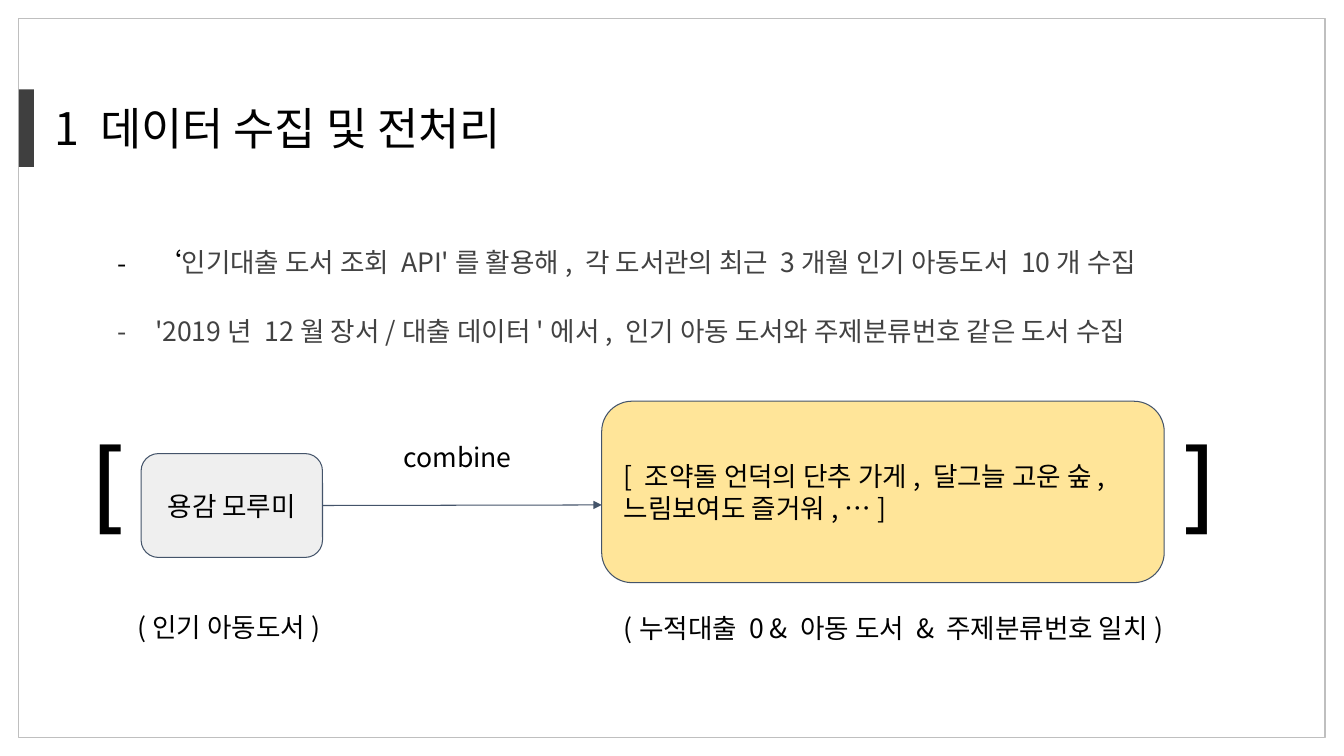
from dataclasses import dataclass

from lxml.etree import SubElement
from pptx import Presentation
from pptx.dml.color import RGBColor
from pptx.enum.shapes import MSO_CONNECTOR, MSO_SHAPE
from pptx.enum.text import MSO_ANCHOR, PP_ALIGN
from pptx.oxml.ns import qn
from pptx.util import Pt


@dataclass(frozen=True)
class Theme:
    """Colours, fonts and type sizes of the slide."""
    ink: str = "000000"
    soft: str = "424242"
    bar: str = "3F3F3F"
    edge: str = "BFBFBF"
    line: str = "44546A"
    gray: str = "EFEFEF"
    gold: str = "FFE599"
    font: str = "Noto Sans CJK KR"
    mono: str = "DejaVu Sans Mono"
    head: float = 32
    body: float = 19
    huge: float = 72


THEME = Theme()


def shift(box, left, top, width, height):
    """Return an area placed relative to the corner of a box."""
    return box[0] + left, box[1] + top, width, height


def add_run(para, text, size=THEME.body, color=THEME.ink, font=THEME.font):
    """Add one run of text with its font for Latin and Korean."""
    run = para.add_run()
    run.text = text
    run.font.size = Pt(size)
    run.font.name = font
    run.font.color.rgb = RGBColor.from_string(color)
    SubElement(run.font._element, qn("a:ea"), typeface=font)


def set_frame(frame, pad, anchor=MSO_ANCHOR.TOP):
    """Set wrap, insets and anchor of a text frame."""
    frame.word_wrap = True
    frame.margin_left = frame.margin_right = Pt(pad)
    frame.margin_top = frame.margin_bottom = Pt(pad)
    frame.vertical_anchor = anchor
    return frame


def add_text(slide, box, pad=7.2):
    """Add an empty text box and return its frame."""
    label = slide.shapes.add_textbox(*map(Pt, box))
    return set_frame(label.text_frame, pad)


def add_label(slide, box, text, pad=7.2):
    """Add a centred line of body text."""
    para = add_text(slide, box, pad).paragraphs[0]
    para.alignment = PP_ALIGN.CENTER
    add_run(para, text)


def add_block(slide, box, kind, fill=None, line=None, width=0.75):
    """Add a flat shape with an optional fill and line."""
    block = slide.shapes.add_shape(kind, *map(Pt, box))
    block.shadow.inherit = False
    if fill:
        block.fill.solid()
        block.fill.fore_color.rgb = RGBColor.from_string(fill)
    else:
        block.fill.background()
    if line:
        block.line.color.rgb = RGBColor.from_string(line)
        block.line.width = Pt(width)
    else:
        block.line.fill.background()
    return block


def add_card(slide, box, fill, lines, align):
    """Add a rounded card with one paragraph per line."""
    card = add_block(slide, box, MSO_SHAPE.ROUNDED_RECTANGLE, fill, THEME.line)
    card.adjustments[0] = 0.167
    frame = set_frame(card.text_frame, 9.4, MSO_ANCHOR.MIDDLE)
    for index, text in enumerate(lines):
        para = frame.add_paragraph() if index else frame.paragraphs[0]
        para.alignment = align
        add_run(para, text)
    return card


def add_arrow(slide, card, tip):
    """Draw an arrow from the right side of a card to a tip."""
    arrow = slide.shapes.add_connector(
        MSO_CONNECTOR.STRAIGHT, 0, 0, *map(Pt, tip))
    arrow.begin_connect(card, 3)
    arrow.line.color.rgb = RGBColor.from_string(THEME.line)
    arrow.line.width = Pt(0.75)
    SubElement(arrow.line._get_or_add_ln(), qn("a:tailEnd"), type="triangle")
    SubElement(arrow._element.spPr, qn("a:effectLst"))


def add_header(slide, box):
    """Draw the page border, the side bar and the title."""
    add_block(slide, box, MSO_SHAPE.RECTANGLE, line=THEME.edge, width=1)
    add_block(slide, shift(box, 0, 50.4, 10.8, 55.4),
              MSO_SHAPE.RECTANGLE, THEME.bar)
    frame = add_text(slide, shift(box, 18.3, 55, 382.3, 70.6))
    frame.margin_top = frame.margin_bottom = Pt(3.6)
    add_run(frame.paragraphs[0], "1 데이터 수집 및 전처리", THEME.head)


def add_notes(slide, box):
    """Write the two dashed points."""
    points = [
        (THEME.ink, [
            ("‘", THEME.ink),
            ("인기대출 도서 조회 API'를 활용해, 각 도서관의 최근 3개월 "
             "인기 아동도서 10개 수집", THEME.soft)]),
        (THEME.soft, [
            ("'2019년 12월 장서/대출 데이터'에서, 인기 아동 도서와 "
             "주제분류번호 같은 도서 수집", THEME.soft)]),
    ]
    frame = add_text(slide, box)
    frame.margin_top = Pt(32.5)
    for index, (dash, runs) in enumerate(points):
        para = frame.add_paragraph() if index else frame.paragraphs[0]
        if index:
            para.space_before = Pt(26)
        props = para._p.get_or_add_pPr()
        props.set("marL", str(Pt(36)))
        props.set("indent", str(Pt(-27)))
        SubElement(SubElement(props, qn("a:buClr")), qn("a:srgbClr"), val=dash)
        SubElement(props, qn("a:buFont"), typeface=THEME.font)
        SubElement(props, qn("a:buChar"), char="-")
        for text, color in runs:
            add_run(para, text, color=color)


def add_chain(slide, box):
    """Draw the bracketed pair of cards with arrow and captions."""
    para = add_text(slide, shift(box, 0, 6.4, 873.4, 145.4)).paragraphs[0]
    tabs = SubElement(para._p.get_or_add_pPr(), qn("a:tabLst"))
    SubElement(tabs, qn("a:tab"), pos=str(Pt(780)), algn="l")
    add_run(para, "[\t]", THEME.huge, font=THEME.mono)
    add_label(slide, shift(box, 369.4, 143.2, 441.4, 48.2),
              "(누적대출 0 & 아동 도서 & 주제분류번호 일치)")
    card = add_card(slide, shift(box, 52.6, 37.4, 129.6, 74.2), THEME.gray,
                    ["용감 모루미"], PP_ALIGN.CENTER)
    add_arrow(slide, card, (box[0] + 381.6, box[1] + 74.1))
    add_card(slide, shift(box, 381.6, 0, 401.8, 129.6), THEME.gold,
             ["[ 조약돌 언덕의 단추 가게, 달그늘 고운 숲,",
              "느림보여도 즐거워, … ]"], PP_ALIGN.LEFT)
    add_label(slide, shift(box, 224.7, 18.7, 108, 53.3), "combine", 9.4)
    add_label(slide, shift(box, 28.1, 140.4, 174.2, 53.3),
              "(인기 아동도서)", 9.4)


def main():
    """Build the slide and save it."""
    deck = Presentation()
    deck.slide_width, deck.slide_height = Pt(960), Pt(540)
    slide = deck.slides.add_slide(deck.slide_layouts[6])
    add_header(slide, (13.4, 13.4, 933.1, 513.4))
    add_notes(slide, (67.7, 143.3, 807.1, 159.8))
    add_chain(slide, (48.2, 286.6, 873.4, 193.7))
    deck.save("out.pptx")


if __name__ == "__main__":
    main()
